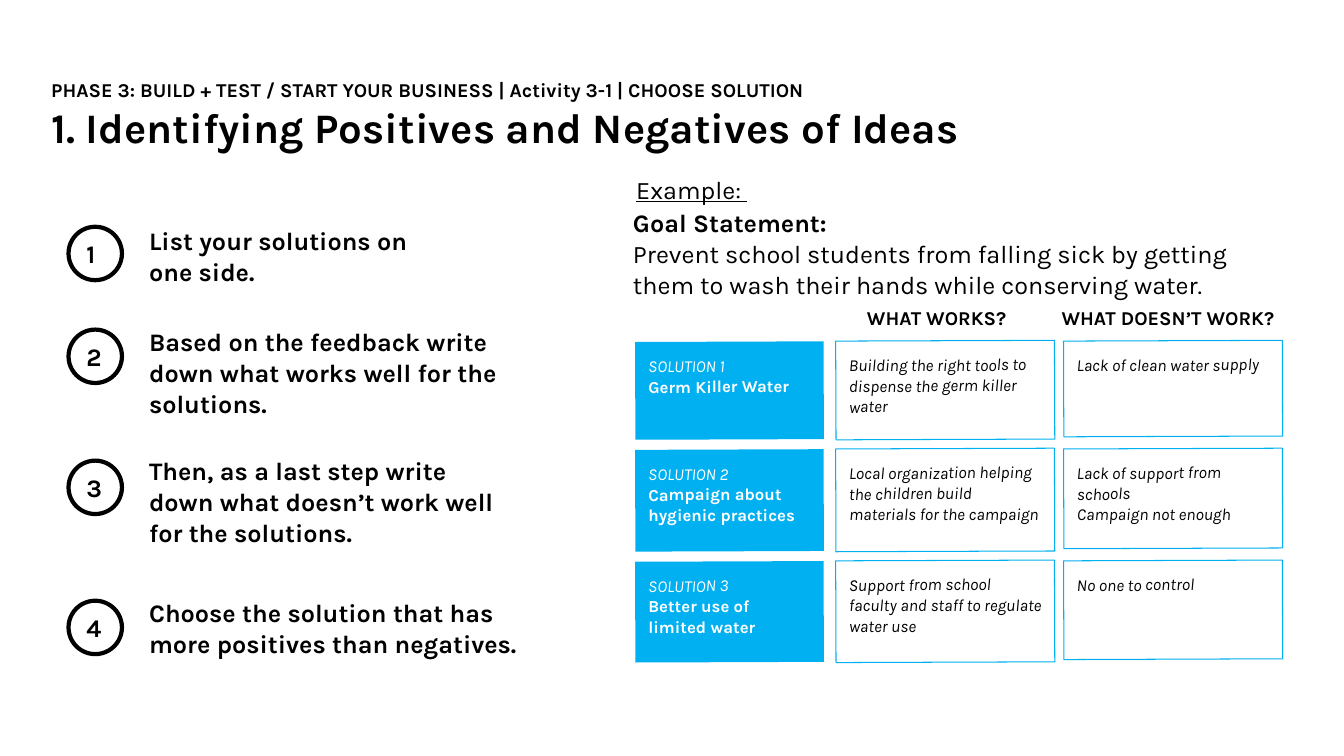
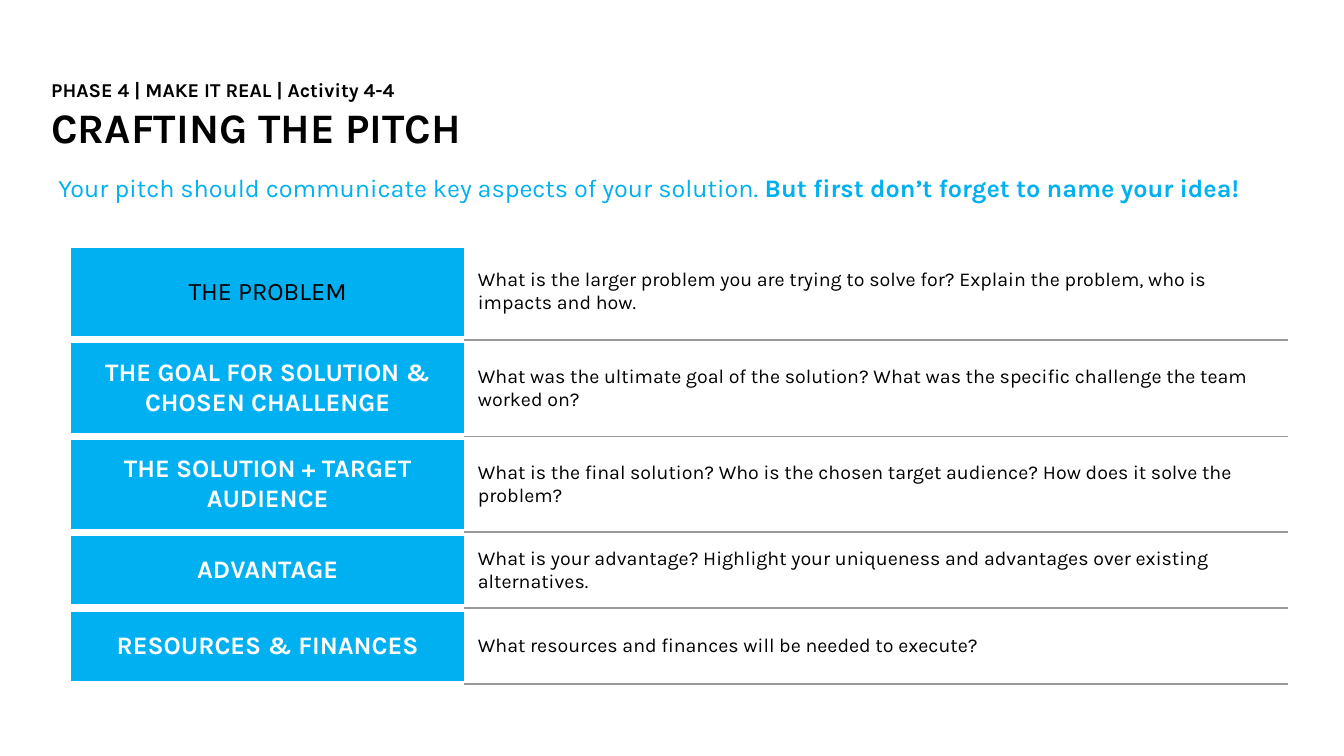
from lxml.etree import SubElement
from pptx import Presentation
from pptx.dml.color import RGBColor
from pptx.enum.shapes import MSO_SHAPE
from pptx.enum.text import MSO_ANCHOR, PP_ALIGN
from pptx.oxml.ns import qn
from pptx.util import Inches, Pt

# Shared look
FONT = "Karla"
BLUE, WHITE, BLACK, GRAY = "00B0F0", "FFFFFF", "000000", "999999"
OVERLINE = {"size": 14, "bold": True}
TITLE = {"size": 30, "bold": True}
BODY = {"size": 18}
STRONG = {"size": 18, "bold": True}
NOTE = {"size": 12, "italic": True}
LABEL_TOP = {"size": 12, "italic": True, "color": WHITE}
LABEL_NAME = {"size": 12, "bold": True, "color": WHITE}
SPACING = 1.03

# Slide 1: number top, text top, text width, text
STEPS = [
    (2.25, 2.13, 2.98, "List your solutions on one side."),
    (3.27, 3.13, 3.88, "Based on the feedback write down what works well for the solutions."),
    (4.57, 4.41, 3.67, "Then, as a last step write down what doesn’t work well for the solutions."),
    (5.96, 5.82, 3.88, "Choose the solution that has more positives than negatives."),
]
GOAL = ("Goal Statement:",
        "Prevent school students from falling sick by getting them to wash "
        "their hands while conserving water.")
HEADINGS = [(8.5, 1.71, "WHAT WORKS?"), (10.43, 2.41, "WHAT DOESN’T WORK?")]
# Row top, row height, solution, what works, what doesn't
SOLUTIONS = [
    (3.38, 0.98, "Germ Killer Water",
     ["Building the right tools to dispense the germ killer water"],
     ["Lack of clean water supply"]),
    (4.45, 1.02, "Campaign about hygienic practices",
     ["Local organization helping the children build materials for the campaign"],
     ["Lack of support from schools", "Campaign not enough"]),
    (5.56, 1.01, "Better use of limited water",
     ["Support from school faculty and staff to regulate water use"],
     ["No one to control"]),
]

# Slide 2: row height, label, label format, question
PITCH_LABEL = {"size": 18, "bold": True, "color": WHITE}
PITCH = [
    (0.95, "THE PROBLEM", BODY,
     "What is the larger problem you are trying to solve for? Explain the problem, "
     "who is impacts and how."),
    (0.96, "THE GOAL FOR SOLUTION & CHOSEN CHALLENGE", PITCH_LABEL,
     "What was the ultimate goal of the solution? What was the specific challenge "
     "the team worked on?"),
    (0.95, "THE SOLUTION + TARGET AUDIENCE", PITCH_LABEL,
     "What is the final solution? Who is the chosen target audience? "
     "How does it solve the problem?"),
    (0.75, "ADVANTAGE", PITCH_LABEL,
     "What is your advantage? Highlight your uniqueness and advantages over "
     "existing alternatives."),
    (0.76, "RESOURCES & FINANCES", PITCH_LABEL,
     "What resources and finances will be needed to execute?"),
]
PITCH_COLS = (3.97, 8.1)


def rgb(value):
    return RGBColor.from_string(value)


def write(tf, paragraphs, align=PP_ALIGN.LEFT, spacing=1.0):
    """Fill a text frame; each paragraph is a list of (text, format) runs."""
    for i, runs in enumerate(paragraphs):
        p = tf.paragraphs[0] if i == 0 else tf.add_paragraph()
        p.alignment = align
        p.line_spacing = spacing
        for text, fmt in runs:
            r = p.add_run()
            r.text = text
            values = {"name": FONT, "bold": False, **fmt, "size": Pt(fmt["size"])}
            r.font.color.rgb = rgb(values.pop("color", BLACK))
            for key, value in values.items():
                setattr(r.font, key, value)


def set_frame(tf, inset, anchor, inset_y=None):
    tf.word_wrap = True
    tf.vertical_anchor = anchor
    tf.margin_left = tf.margin_right = Inches(inset)
    tf.margin_top = tf.margin_bottom = Inches(inset if inset_y is None else inset_y)


def add_text(s, box, paragraphs, inset=0.1, anchor=MSO_ANCHOR.TOP, inset_y=None, spacing=1.0):
    tf = s.shapes.add_textbox(*map(Inches, box)).text_frame
    set_frame(tf, inset, anchor, inset_y)
    write(tf, paragraphs, spacing=spacing)


def add_box(s, kind, box, paragraphs, fill=WHITE, line=None, width=0.75,
            inset=0.13, anchor=MSO_ANCHOR.TOP, rotation=0):
    sp = s.shapes.add_shape(kind, *map(Inches, box))
    sp.shadow.inherit = False
    sp.rotation = rotation
    sp.fill.solid()
    sp.fill.fore_color.rgb = rgb(fill)
    if line:
        sp.line.color.rgb = rgb(line)
        sp.line.width = Pt(width)
    else:
        sp.line.fill.background()
    set_frame(sp.text_frame, inset, anchor)
    write(sp.text_frame, paragraphs, spacing=SPACING)


def set_borders(cell, **sides):
    tc_pr = cell._tc.get_or_add_tcPr()
    for side in "LRTB":
        color, width = sides.get(side, (WHITE, 6))
        ln = SubElement(tc_pr, qn(f"a:ln{side}"), w=str(Pt(width)))
        SubElement(SubElement(ln, qn("a:solidFill")), qn("a:srgbClr"), val=color)


def new_slide(prs, overline, title):
    s = prs.slides.add_slide(prs.slide_layouts[6])
    add_text(s, (0.41, 0.72, 10.03, 0.88),
             [[(overline, OVERLINE)], [(title, TITLE)]], inset_y=0.05)
    return s


def build_solutions(prs):
    s = new_slide(prs, "PHASE 3: BUILD + TEST / START YOUR BUSINESS | Activity 3-1 | CHOOSE SOLUTION",
                  "1. Identifying Positives and Negatives of Ideas")
    # Numbered steps
    for number, (top, text_top, width, text) in enumerate(STEPS, 1):
        add_box(s, MSO_SHAPE.OVAL, (0.68, top, 0.53, 0.53), [[(str(number), STRONG)]],
                line=BLACK, width=3, inset=0.1, anchor=MSO_ANCHOR.MIDDLE)
        add_text(s, (1.38, text_top, width, 0.53), [[(text, STRONG)]], spacing=SPACING)

    # Example and goal
    add_text(s, (6.18, 1.6, 6.05, 0.59), [[("Example: ", {**BODY, "underline": True})]],
             inset=0.13)
    add_text(s, (6.18, 1.95, 6.26, 1.1), [[(GOAL[0], STRONG)], [(GOAL[1], BODY)]],
             spacing=SPACING)

    # Grid of solutions
    for left, width, text in HEADINGS:
        add_text(s, (left, 2.89, width, 0.52), [[(text, OVERLINE)]], anchor=MSO_ANCHOR.MIDDLE)
    for number, (top, height, name, works, fails) in enumerate(SOLUTIONS, 1):
        label = [[(f"SOLUTION {number}", LABEL_TOP)], [(name, LABEL_NAME)]]
        works, fails = ([[(text, NOTE)] for text in texts] for texts in (works, fails))
        for box, paragraphs, fill, line in (
                ((6.3, top + 0.01, 1.87, height - 0.01), label, BLUE, None),
                ((8.29, top, 2.17, height), works, WHITE, BLUE),
                ((10.55, top, 2.17, height - 0.03), fails, WHITE, BLUE)):
            add_box(s, MSO_SHAPE.RECTANGLE, box, paragraphs, fill, line, rotation=359.8)


def build_pitch(prs):
    s = new_slide(prs, "PHASE 4 | MAKE IT REAL | Activity 4-4", "CRAFTING THE PITCH")
    add_text(s, (0.48, 1.54, 12.42, 0.64), [[
        ("Your pitch should communicate key aspects of your solution. ", {**BODY, "color": BLUE}),
        ("But first don’t forget to name your idea!", {**STRONG, "color": BLUE}),
    ]], anchor=MSO_ANCHOR.MIDDLE)

    # Table of pitch parts
    size = (sum(PITCH_COLS), sum(row[0] for row in PITCH))
    table = s.shapes.add_table(len(PITCH), 2, *map(Inches, (0.67, 2.42, *size))).table
    table.first_row = table.horz_banding = False
    for column, width in zip(table.columns, PITCH_COLS):
        column.width = Inches(width)
    rule = (GRAY, 1.5)
    for i, (height, label, label_format, question) in enumerate(PITCH):
        table.rows[i].height = Inches(height)
        question_borders = {"B": rule, "T": rule} if i else {"B": rule}
        for j, (text, fmt, align, fill, borders) in enumerate((
                (label, label_format, PP_ALIGN.CENTER, BLUE, {}),
                (question, {"size": 14}, PP_ALIGN.LEFT, WHITE, question_borders))):
            cell = table.cell(i, j)
            cell.vertical_anchor = MSO_ANCHOR.MIDDLE
            set_borders(cell, **borders)
            cell.fill.solid()
            cell.fill.fore_color.rgb = rgb(fill)
            write(cell.text_frame, [[(text, fmt)]], align)


def main():
    prs = Presentation()
    prs.slide_width, prs.slide_height = Inches(13.33), Inches(7.5)
    build_solutions(prs)
    build_pitch(prs)
    prs.save("out.pptx")


if __name__ == "__main__":
    main()
